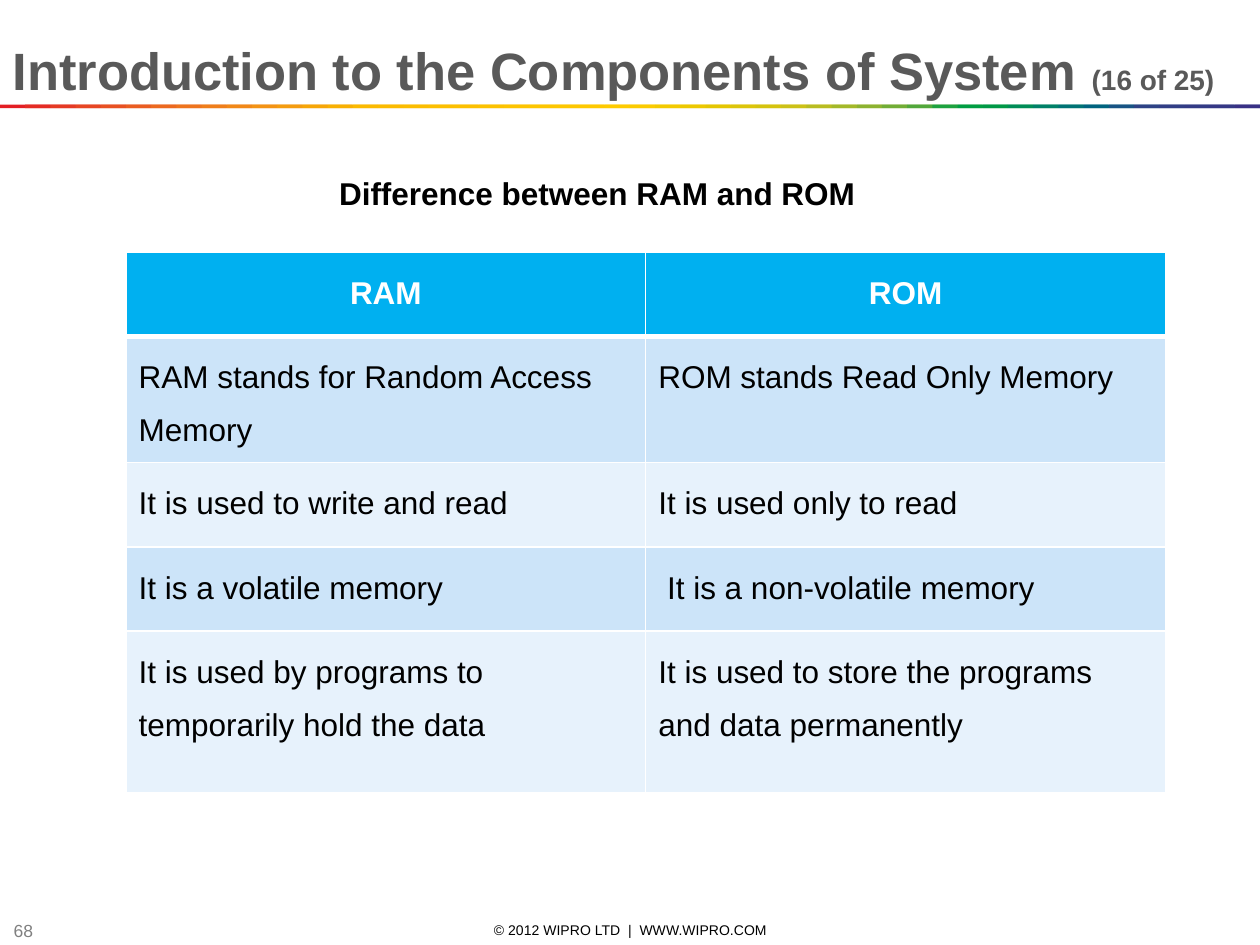
"""Build a slide that compares RAM and ROM in a two-column table."""
from lxml import etree
from pptx import Presentation
from pptx import util as u
from pptx.dml.color import RGBColor
from pptx.enum import shapes, text
from pptx.oxml.ns import qn

SCALE = 9144  # EMU per px, 100 px to the inch
LEFT, CENTER = text.PP_ALIGN.LEFT, text.PP_ALIGN.CENTER
TOP, MIDDLE = text.MSO_ANCHOR.TOP, text.MSO_ANCHOR.MIDDLE

RAINBOW = """
E31E24 E42C24 E53A24 E74623 E85122 EA5D21 EC691F EE741D EF7E1A F18817
F39314 F49C0F F6A607 F8B002 FBBA00 FBBB00 FBBD00 FCBF00 FCC000 FCC200
FDC400 FDC600 FDC700 FEC900 FECB00 FBCB00 F3CA00 ECC800 E4C602 DCC50A
D5C30E CCC117 B8BC21 A3B829 8CB230 71AD36 51A73B 1DA240 009D43 009846
008C57 008068 007275 00637F 185384 2E4285 313E85 333B85 353885 393185
""".split()

ROWS = [
    ("RAM", "ROM"),
    ("RAM stands for Random Access Memory", "ROM stands Read Only Memory"),
    ("It is used to write and read", "It is used only to read"),
    ("It is a volatile memory", " It is a non-volatile memory"),
    ("It is used by programs to temporarily hold the data",
     "It is used to store the programs and data permanently"),
]
ROW_HEIGHTS = [67, 88, 67, 67, 128]


def px(n):
    return u.Emu(n * SCALE)


def rgb(value):
    return RGBColor.from_string(value)


def add_run(p, words, size=18, color="000000", bold=False):
    r = p.add_run()
    r.text = words
    r.font.name, r.font.size, r.font.bold = "Arial", u.Pt(size), bold
    r.font.color.rgb = rgb(color)


def set_borders(cell, **widths):
    tc_pr = cell._tc.get_or_add_tcPr()
    for i, side in enumerate("LRTB"):
        ln = etree.Element(qn(f"a:ln{side}"), w=str(u.Pt(widths.get(side, 1))))
        fill = etree.SubElement(ln, qn("a:solidFill"))
        etree.SubElement(fill, qn("a:srgbClr"), val="FFFFFF")
        tc_pr.insert(i, ln)


class Deck:
    header, bands = "00B0F0", ("E7F2FC", "CCE4F9")

    def __init__(self, width, height):
        self.prs = Presentation()
        self.prs.slide_width, self.prs.slide_height = px(width), px(height)
        self.s = self.prs.slides.add_slide(self.prs.slide_layouts[5])

    def title(self, box, words, counter):
        sp = self.s.shapes.title
        sp.left, sp.top, sp.width, sp.height = map(px, box)
        tf = sp.text_frame
        tf.vertical_anchor, tf.word_wrap = TOP, True
        tf.auto_size = text.MSO_AUTO_SIZE.NONE
        p = tf.paragraphs[0]
        p.alignment, p.line_spacing = LEFT, 1.5
        add_run(p, words, size=30, color="595959", bold=True)
        add_run(p, counter, size=16, color="595959", bold=True)

    def label(self, box, words, align=CENTER, anchor=MIDDLE, wrap=True, **style):
        tf = self.s.shapes.add_textbox(*map(px, box)).text_frame
        tf.word_wrap, tf.vertical_anchor = wrap, anchor
        p = tf.paragraphs[0]
        p.alignment = align
        add_run(p, words, **style)

    def strip(self, top, height, step, colors):
        group = self.s.shapes.add_group_shape()
        end = step * len(colors)
        for i, color in enumerate(colors):
            left = i * step
            box = left, top, min(2 * step, end - left), height
            sp = group.shapes.add_shape(shapes.MSO_SHAPE.RECTANGLE, *map(px, box))
            sp.shadow.inherit = False
            sp.fill.solid()
            sp.fill.fore_color.rgb = rgb(color)
            sp.line.fill.background()

    def table(self, left, top, width, rows, heights):
        box = left, top, width, sum(heights)
        table = self.s.shapes.add_table(len(rows), len(rows[0]), *map(px, box)).table
        table.first_row = table.horz_banding = False
        for i, (row, height) in enumerate(zip(rows, heights)):
            table.rows[i].height = px(height)
            for j, words in enumerate(row):
                self.cell(table.cell(i, j), i, words)

    def cell(self, cell, i, words):
        head = i == 0
        cell.fill.solid()
        cell.fill.fore_color.rgb = rgb(self.header if head else self.bands[i % 2])
        set_borders(cell, B=3 if head else 1, T=3 if i == 1 else 1)
        p = cell.text_frame.paragraphs[0]
        p.alignment, p.line_spacing = CENTER if head else LEFT, 1.5
        add_run(p, words, color="FFFFFF" if head else "000000", bold=head)


def main():
    deck = Deck(1000, 750)
    deck.label((342, 730, 317, 16), "© 2012 WIPRO LTD  |  WWW.WIPRO.COM", size=8)
    deck.label((1, 727, 57, 23), "68", align=LEFT, size=10, color="808080")
    deck.strip(83, 3, 20, RAINBOW)
    deck.title((0, 0, 1000, 86), "Introduction to the Components of System ", "(16 of 25)")
    deck.table(100, 200, 825, ROWS, ROW_HEIGHTS)
    deck.label((257, 133, 434, 40), "Difference between RAM and ROM",
               anchor=TOP, wrap=False, bold=True)
    deck.prs.save("out.pptx")


if __name__ == "__main__":
    main()
